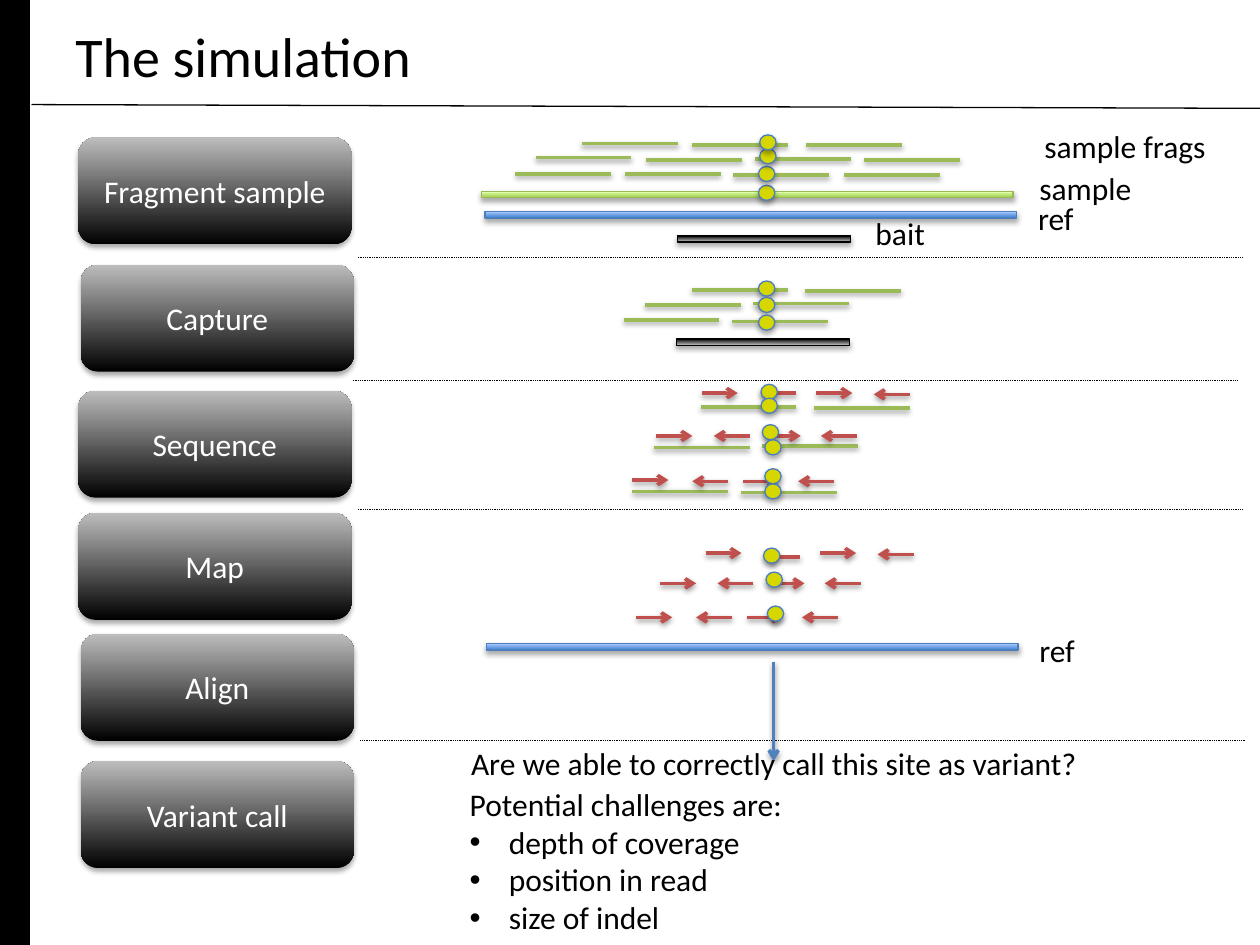
"""Build the slide that explains the steps of the sequencing simulation."""
from lxml.etree import SubElement
from pptx import Presentation
from pptx.dml.color import RGBColor
from pptx.enum.dml import MSO_LINE
from pptx.enum.shapes import MSO_CONNECTOR, MSO_SHAPE
from pptx.enum.text import MSO_ANCHOR, PP_ALIGN
from pptx.oxml.ns import qn
from pptx.util import Inches, Pt

COLORS = {
    "black": "000000", "white": "FFFFFF", "gray": "BDBDBD",
    "frag": "9BBB59", "read": "C0504D", "arrow": "4F81BD",
    "dot": "D6D600", "edge": "4B7EBC", "rim": "98B955",
    "blue": "3F80CE", "sky": "A4C4FF", "green": "A0CA4A", "lime": "DAFFA5",
}
FRAG, READ, STEP = 0.76, 0.285, 0.85


def rgb(name):
    return RGBColor.from_string(COLORS[name])


class Board:
    def __init__(self, slide, font="Calibri", size=18):
        self.slide, self.font, self.size = slide, font, size

    def shade(self, item, alpha, dist):
        props = item.element.spPr
        effects = props.find(qn("a:effectLst"))
        if effects is None:
            effects = SubElement(props, qn("a:effectLst"))
        if alpha:
            outer = SubElement(effects, qn("a:outerShdw"), blurRad=str(Pt(3.1)),
                               dist=str(Pt(dist)), dir="5400000", rotWithShape="0")
            color = SubElement(outer, qn("a:srgbClr"), val=COLORS["black"])
            SubElement(color, qn("a:alpha"), val=str(alpha * 1000))

    def shape(self, kind, x, y, w, h, fill, edge=None, alpha=35):
        item = self.slide.shapes.add_shape(
            kind, Inches(x), Inches(y), Inches(w), Inches(h))
        item.shadow.inherit = False
        if isinstance(fill, tuple):
            item.fill.gradient()
            item.fill.gradient_angle = 90
            for stop, name in zip(item.fill.gradient_stops, fill):
                stop.color.rgb = rgb(name)
        else:
            item.fill.solid()
            item.fill.fore_color.rgb = rgb(fill)
        if edge:
            item.line.color.rgb = rgb(edge)
            item.line.width = Pt(0.75)
        else:
            item.line.fill.background()
        self.shade(item, alpha, 1.8)
        return item

    def bar(self, x, y, w, fill, edge):
        self.shape(MSO_SHAPE.RECTANGLE, x, y, w, 0.05, fill, edge)

    def dots(self, spots):
        for x, y in spots:
            self.shape(MSO_SHAPE.OVAL, x, y, 0.13, 0.12, "dot", "edge")

    def style(self, para, color="black", size=None):
        para.font.name = self.font
        para.font.size = Pt(size or self.size)
        para.font.color.rgb = rgb(color)

    def step(self, x, y, label):
        item = self.shape(MSO_SHAPE.ROUNDED_RECTANGLE, x, y, 2.17, STEP,
                          ("black", "gray"))
        frame = item.text_frame
        frame.text = label
        frame.vertical_anchor = MSO_ANCHOR.MIDDLE
        frame.paragraphs[0].alignment = PP_ALIGN.CENTER
        self.style(frame.paragraphs[0], "white")

    def text(self, x, y, w, h, words, bullets=(), size=None, anchor=MSO_ANCHOR.TOP):
        box = self.slide.shapes.add_textbox(Inches(x), Inches(y), Inches(w), Inches(h))
        frame = box.text_frame
        frame.word_wrap = True
        frame.vertical_anchor = anchor
        frame.text = words
        self.style(frame.paragraphs[0], size=size)
        for item in bullets:
            para = frame.add_paragraph()
            para.text = item
            props = para._p.get_or_add_pPr()
            props.set("marL", str(Inches(0.31)))
            props.set("indent", str(-Inches(0.31)))
            SubElement(props, qn("a:buFont"), typeface="Arial")
            SubElement(props, qn("a:buChar"), char="•")
            self.style(para)

    def line(self, x, y, to_x, to_y, color, width=2, dash=None, head=False, alpha=38):
        item = self.slide.shapes.add_connector(
            MSO_CONNECTOR.STRAIGHT, Inches(x), Inches(y), Inches(to_x), Inches(to_y))
        item.line.color.rgb = rgb(color)
        item.line.width = Pt(width)
        if dash:
            item.line.dash_style = dash
        if head:
            SubElement(item.element.spPr.find(qn("a:ln")), qn("a:tailEnd"), type="arrow")
        self.shade(item, alpha, 1.6)

    def frags(self, spots):
        for x, y in spots:
            self.line(x, y, x + FRAG, y, "frag")

    def reads(self, rows, shift=0):
        for starts, levels in zip(READS, rows):
            for x, y, way in zip(starts, levels, (1, -1, 1, -1)):
                x += shift
                self.line(x, y, x + way * READ, y, "read", head=True)


STEPS = [
    (0.62, 1.09, "Fragment sample"), (0.64, 2.1, "Capture"), (0.62, 3.1, "Sequence"),
    (0.62, 4.07, "Map"), (0.64, 5.03, "Align"), (0.64, 6.04, "Variant call"),
]
LABELS = [
    (8.14, 1.53, 0.93, "ref"), (8.19, 0.96, 1.64, "sample frags"),
    (8.15, 1.29, 0.93, "sample"), (6.85, 1.65, 0.93, "bait"), (8.15, 4.96, 0.93, "ref"),
]
SAMPLE = [
    (4.09, 1.38), (4.96, 1.38), (5.82, 1.39), (6.7, 1.39),
    (4.25, 1.25), (5.13, 1.27), (5.99, 1.26), (6.86, 1.27),
    (4.62, 1.14), (5.49, 1.15), (6.4, 1.15),
]
CAUGHT = [(4.95, 2.54), (5.81, 2.55), (5.12, 2.42), (5.98, 2.41), (6.39, 2.31), (5.49, 2.3)]
PAIRED = [(5.02, 3.9), (5.88, 3.91), (5.19, 3.55), (6.05, 3.54), (6.46, 3.24), (5.56, 3.23)]
READS = [(5.57, 6.32, 6.48, 7.22), (5.21, 5.95, 6.07, 6.8), (5.02, 5.78, 5.9, 6.62)]
SEQUENCED = [(3.12, 3.12, 3.12, 3.13), (3.46,) * 4, (3.81, 3.82, 3.82, 3.82)]
MAPPED = [(4.39, 4.42, 4.39, 4.4), (4.63,) * 4, (4.9,) * 4]
SITES = [
    (6.02, 1.47), (6.02, 1.32), (6.03, 1.18), (6.03, 1.07),
    (6.02, 2.23), (6.02, 2.36), (6.02, 2.5),
    (6.04, 3.05), (6.05, 3.37), (6.07, 3.72),
    (6.07, 3.84), (6.07, 3.49), (6.04, 3.16),
]


def main():
    deck = Presentation()
    deck.slide_width, deck.slide_height = Inches(10), Inches(7.5)
    board = Board(deck.slides.add_slide(deck.slide_layouts[6]))

    board.shape(MSO_SHAPE.RECTANGLE, -0.01, 0, 0.24, 7.5, "black", "black", alpha=0)
    board.line(0.25, 0.83, 10.01, 0.86, "black", 0.75, alpha=0)
    board.text(0.5, 0.04, 9, 0.8, "The simulation", size=32, anchor=MSO_ANCHOR.MIDDLE)
    for step in STEPS:
        board.step(*step)

    board.bar(3.85, 1.68, 4.22, ("blue", "sky"), "edge")
    board.bar(3.82, 1.52, 4.22, ("green", "lime"), "rim")
    board.bar(3.86, 5.11, 4.22, ("blue", "sky"), "edge")
    for x, y in ((5.38, 1.87), (5.37, 2.69)):
        board.bar(x, y, 1.37, ("gray", "black"), "black")
    for x, y, w, words in LABELS:
        board.text(x, y, w, 0.4, words)
    for x, y in ((2.84, 2.04), (2.8, 3.02), (2.84, 4.04), (2.86, 5.88)):
        board.line(x, y, x + 7.02, y, "black", 0.5, MSO_LINE.ROUND_DOT)

    board.frags(SAMPLE + CAUGHT + PAIRED)
    board.reads(SEQUENCED)
    board.dots(SITES)
    board.reads(MAPPED, 0.03)
    board.dots([(6.06, 4.35), (6.08, 4.54), (6.09, 4.81)])

    board.line(6.14, 5.25, 6.14, 6.04, "arrow", head=True)
    board.text(3.64, 5.86, 5.16, 0.4, "Are we able to correctly call this site as variant?")
    board.text(3.63, 6.18, 5.16, 1.31, "Potential challenges are:",
               ("depth of coverage", "position in read", "size of indel"))
    deck.save("out.pptx")


if __name__ == "__main__":
    main()
